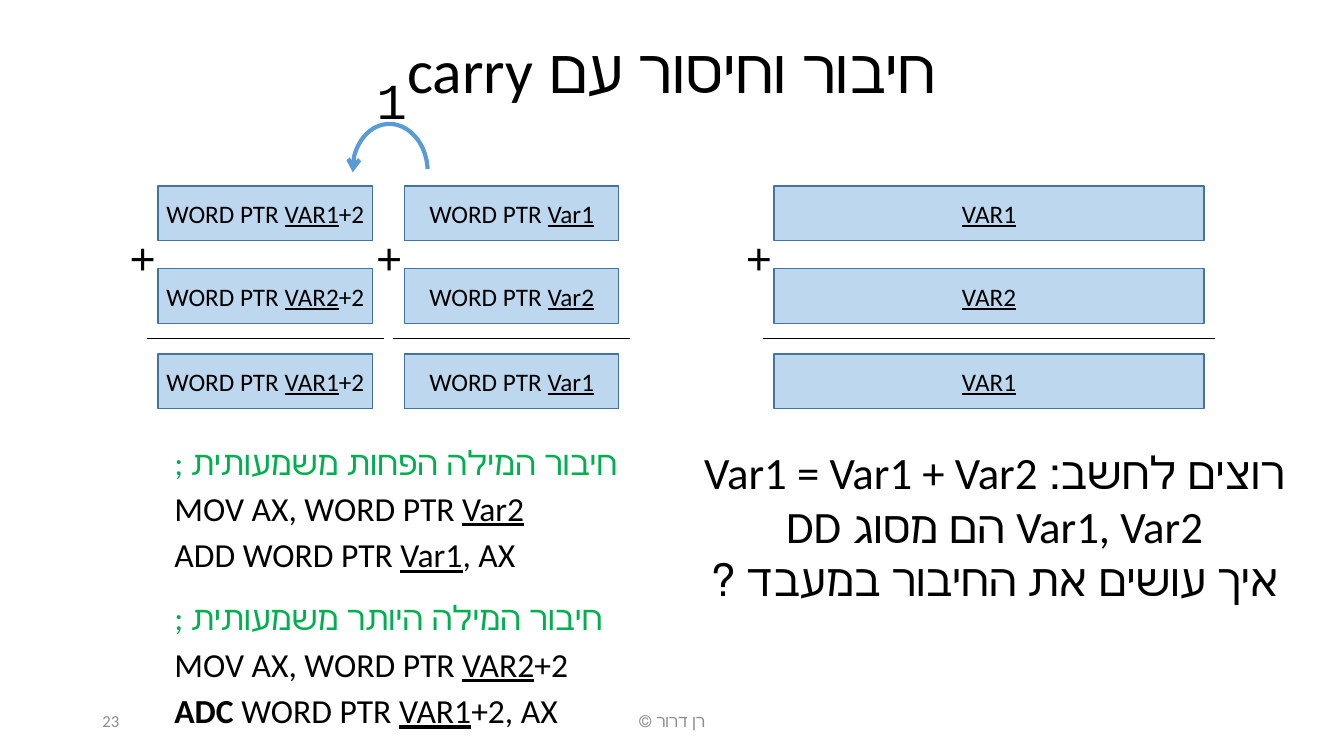
"""Build a slide on adding and subtracting double words with carry."""
from lxml.etree import SubElement
from pptx import Presentation
from pptx.dml.color import RGBColor
from pptx.enum.shapes import MSO_CONNECTOR, MSO_SHAPE
from pptx.enum.text import MSO_ANCHOR, PP_ALIGN
from pptx.oxml.ns import qn
from pptx.util import Pt


def paint(color, code):
    color.rgb = RGBColor.from_string(code)


def write(frame, paras, size, code="000000", align=PP_ALIGN.CENTER, rtl=True, font="Calibri"):
    frame.word_wrap = True
    for i, runs in enumerate(paras):
        para = frame.add_paragraph() if i else frame.paragraphs[0]
        para.alignment = align
        para.font.size = Pt(size)
        para.font.name = font
        paint(para.font.color, code)
        if rtl:
            para._p.get_or_add_pPr().set("rtl", "1")
        for text, style in runs:
            if text == "\n":
                para.add_line_break()
                continue
            run = para.add_run()
            run.text = text
            if style == "u":
                run.font.underline = True
            elif style == "b":
                run.font.bold = True
            elif style:
                paint(run.font.color, style)


deck = Presentation()
deck.slide_width, deck.slide_height = Pt(960), Pt(540)
slide = deck.slides.add_slide(deck.slide_layouts[6])
shapes = slide.shapes

title = shapes.add_textbox(Pt(66), Pt(0), Pt(828), Pt(104.4)).text_frame
title.vertical_anchor = MSO_ANCHOR.MIDDLE
write(title, [[("חיבור וחיסור עם carry", "")]], 44)
title.paragraphs[0].line_spacing = 0.9

GREEN = "00B050"
br = ("\n", "")
low = [("; חיבור המילה הפחות משמעותית", GREEN), br,
       ("MOV AX, WORD PTR ", ""), ("Var2", "u"), br,
       ("ADD WORD PTR ", ""), ("Var1", "u"), (", AX", "")]
high = [("; חיבור המילה היותר משמעותית", GREEN), br,
        ("MOV AX, WORD PTR ", ""), ("VAR2", "u"), ("+2", ""), br,
        ("ADC", "b"), (" WORD PTR ", ""), ("VAR1", "u"), ("+2, AX", "")]
code = shapes.add_textbox(Pt(81.5), Pt(307.5), Pt(372), Pt(220)).text_frame
write(code, [low, high], 24, align=PP_ALIGN.LEFT, rtl=False)
for para in code.paragraphs:
    para.line_spacing = 1.15
    para.space_before = Pt(12)
    props = para._p.get_or_add_pPr()
    props.set("marL", str(Pt(36)))
    props.set("indent", "0")

task = shapes.add_textbox(Pt(491.5), Pt(314), Pt(438), Pt(124)).text_frame
write(task, [[("רוצים לחשב: Var1 = Var1 + Var2", "")],
             [("Var1, Var2 הם מסוג DD", ""), br, ("איך עושים את החיבור במעבד ?", "")]], 32)

columns = [
    (113, 153, "WORD PTR ", ["VAR1", "VAR2", "VAR1"], "+2"),
    (289, 153, "WORD PTR ", ["Var1", "Var2", "Var1"], ""),
    (553, 307, "", ["VAR1", "VAR2", "VAR1"], ""),
]
for left, width, lead, names, tail in columns:
    for top, name in zip((133, 192, 253), names):
        box = shapes.add_shape(MSO_SHAPE.RECTANGLE, Pt(left), Pt(top), Pt(width), Pt(39))
        box.shadow.inherit = False
        box.fill.solid()
        paint(box.fill.fore_color, "BDD7EE")
        paint(box.line.color, "43739E")
        box.line.width = Pt(1)
        frame = box.text_frame
        frame.margin_left = frame.margin_right = 0
        frame.vertical_anchor = MSO_ANCHOR.MIDDLE
        runs = [(lead, ""), (name, "u"), (tail, "")]
        write(frame, [[run for run in runs if run[0]]], 18)
    plus = shapes.add_textbox(Pt(left - 30.5), Pt(157.5), Pt(39), Pt(46))
    write(plus.text_frame, [[("+", "")]], 32)
    rule = shapes.add_connector(MSO_CONNECTOR.STRAIGHT, Pt(left - 8), Pt(242),
                                Pt(left + width + 8), Pt(242))
    paint(rule.line.color, "000000")
    rule.line.width = Pt(0.5)
    SubElement(rule._element.spPr, qn("a:effectLst"))

carry = shapes.add_textbox(Pt(262), Pt(45.5), Pt(37), Pt(51)).text_frame
write(carry, [[("1", "")]], 36, align=PP_ALIGN.LEFT, rtl=False, font="Courier New")
carry.word_wrap = False

arc = shapes.add_shape(MSO_SHAPE.ARC, Pt(252), Pt(88.5), Pt(53.5), Pt(67))
arc.adjustments[0], arc.adjustments[1] = 108.17, 0
arc.rotation = 357.3
arc.shadow.inherit = False
arc.fill.background()
paint(arc.line.color, "5B9BD5")
arc.line.width = Pt(3)
SubElement(arc.line._get_or_add_ln(), qn("a:headEnd"), type="arrow")

for left, width, text, align, rtl in [
    (66, 216, "23", PP_ALIGN.LEFT, False),
    (318, 324, "רן דרור ©", PP_ALIGN.CENTER, True),
]:
    foot = shapes.add_textbox(Pt(left), Pt(500.5), Pt(width), Pt(29)).text_frame
    foot.vertical_anchor = MSO_ANCHOR.MIDDLE
    write(foot, [[(text, "")]], 12, "8C8C8C", align, rtl)

deck.save("out.pptx")
